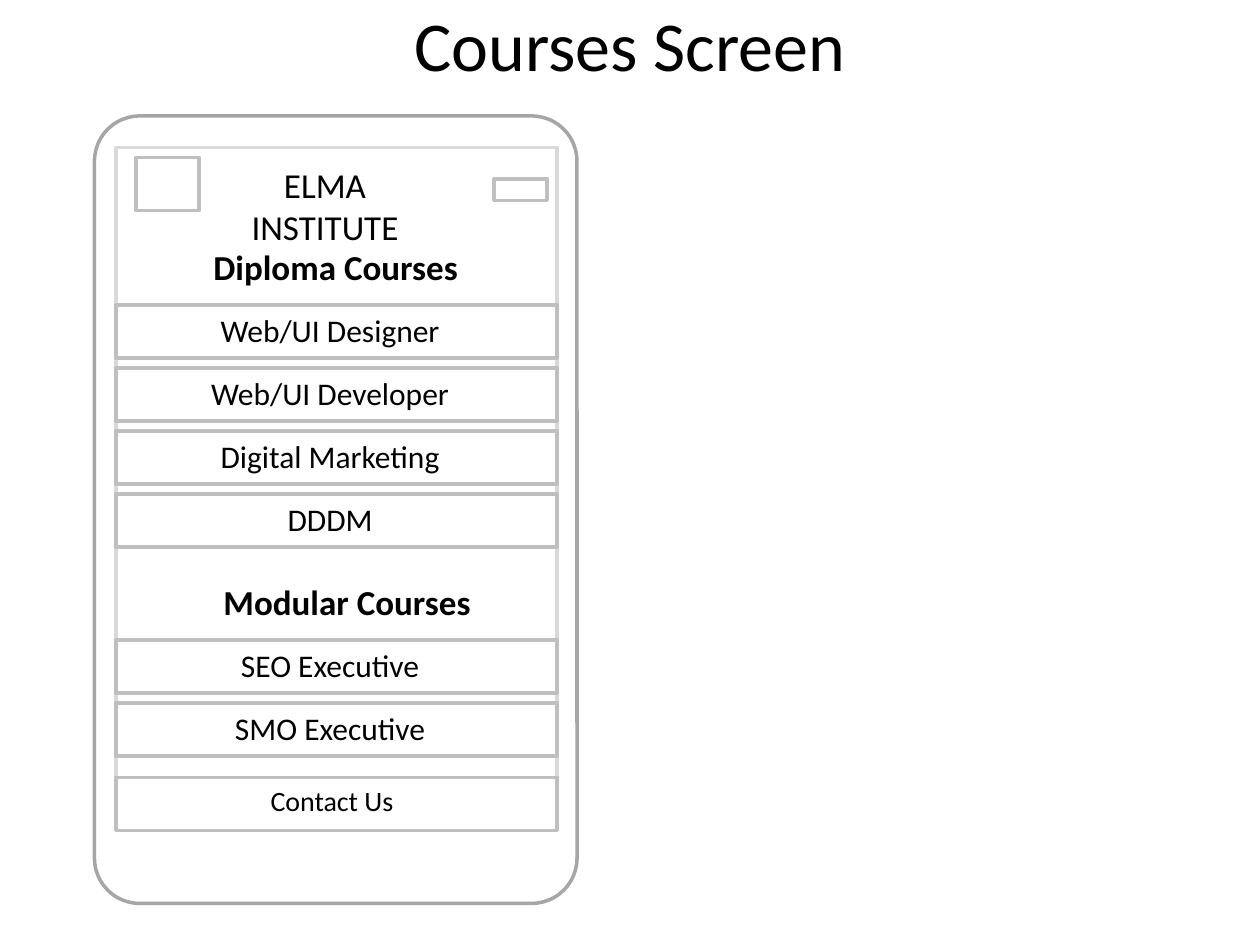
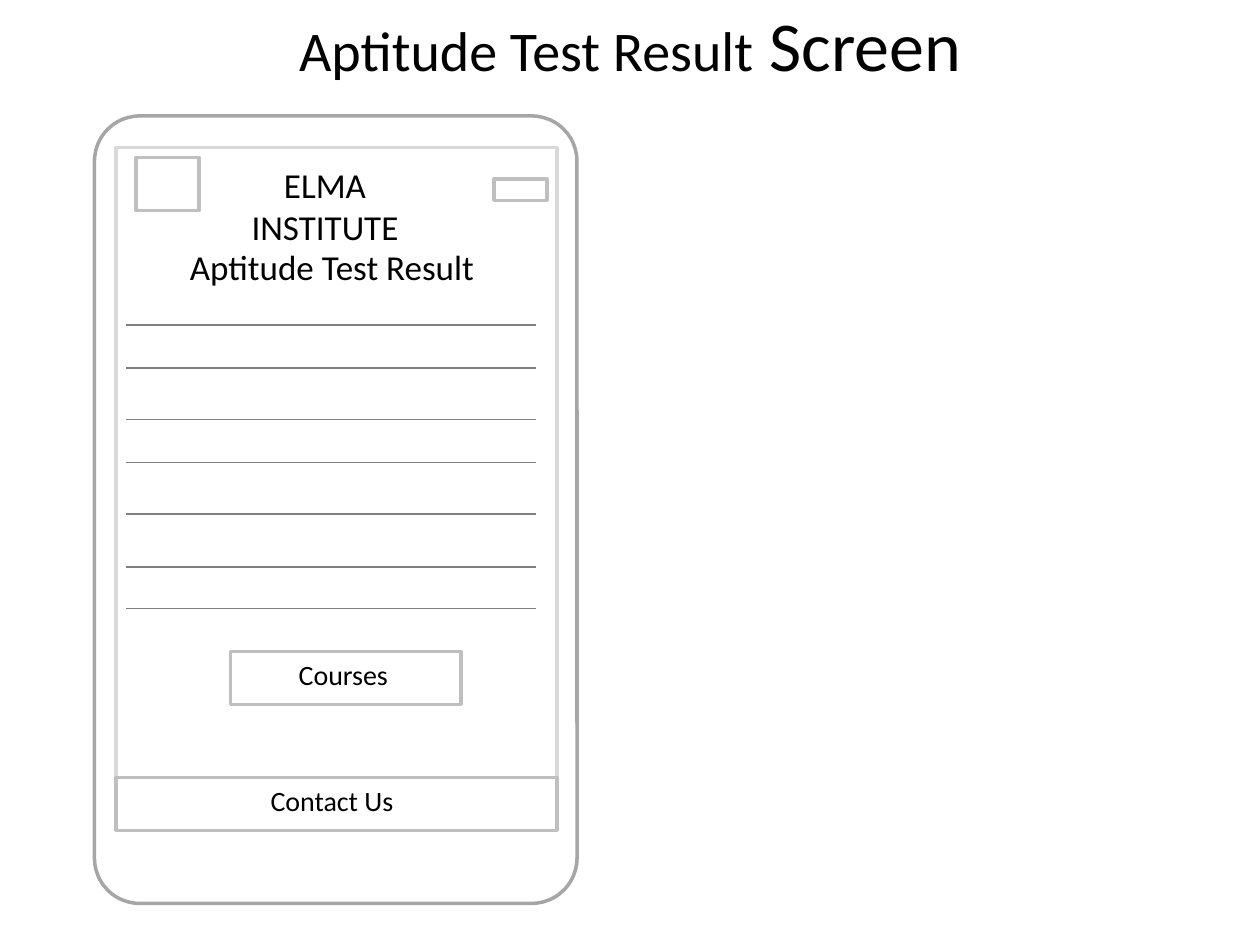
import pptx
import pptx.util
import pptx.dml.color
import pptx.enum.shapes
import pptx.enum.text
import pptx.oxml.ns
import lxml.etree

Inches = pptx.util.Inches
Pt = pptx.util.Pt
Shapes = pptx.enum.shapes.MSO_SHAPE
Text = pptx.enum.text

# Content: titles are lists of (text, size)
COURSES_TITLE = [("Courses Screen", 40)]
RESULT_TITLE = [("Aptitude Test Result", 32), (" Screen", 40)]
INSTITUTE = "ELMA INSTITUTE"
CONTACT = "Contact Us"
# heading, heading left, heading top, first row top, courses
COURSE_GROUPS = [
    ("Diploma Courses", 1.33, 1.9, 2.42,
     ["Web/UI Designer", "Web/UI Developer", "Digital Marketing", "DDDM"]),
    ("Modular Courses", 1.42, 4.56, 5.08, ["SEO Executive", "SMO Executive"]),
]
RESULT_HEADING = "Aptitude Test Result"
RESULT_LINE_TOPS = [2.58, 2.92, 3.33, 3.67, 4.08, 4.5, 4.83]
RESULT_BUTTON = "Courses"

# Shared style
FONT = "Calibri"
COLORS = {"text": "000000", "phone": "A6A6A6", "screen": "D9D9D9",
          "box": "BFBFBF", "rule": "7F7F7F"}
SCREEN_LEFT, SCREEN_WIDTH = 0.92, 3.5
ROW_HEIGHT, ROW_STEP = 0.42, 0.5
CORNER_RADIUS = 0.36


def color(name):
    return pptx.dml.color.RGBColor.from_string(COLORS[name])


def format_run(run, size, bold=False):
    run.font.name = FONT
    run.font.size = Pt(size)
    run.font.bold = bold
    run.font.color.rgb = color("text")


def add_outline(slide, left, top, width, height, line="box", kind=Shapes.RECTANGLE):
    shape = slide.shapes.add_shape(
        kind, Inches(left), Inches(top), Inches(width), Inches(height))
    shape.shadow.inherit = False
    shape.fill.background()
    shape.line.color.rgb = color(line)
    shape.line.width = Pt(2)
    return shape


def add_label(slide, text, left, top, width, height, size, bold=False, wrap=True):
    label = slide.shapes.add_textbox(
        Inches(left), Inches(top), Inches(width), Inches(height))
    label.text_frame.text = text
    label.text_frame.word_wrap = wrap
    label.text_frame.auto_size = Text.MSO_AUTO_SIZE.SHAPE_TO_FIT_TEXT
    paragraph = label.text_frame.paragraphs[0]
    paragraph.alignment = Text.PP_ALIGN.CENTER
    format_run(paragraph.runs[0], size, bold)


def add_rule(slide, top):
    rule = slide.shapes.add_connector(
        pptx.enum.shapes.MSO_CONNECTOR.STRAIGHT,
        Inches(1), Inches(top), Inches(4.25), Inches(top))
    rule.line.color.rgb = color("rule")
    rule.line.width = Pt(0.75)
    lxml.etree.SubElement(rule._element.spPr, pptx.oxml.ns.qn("a:effectLst"))


def add_phone_slide(presentation, title_runs):
    slide = presentation.slides.add_slide(presentation.slide_layouts[5])

    # Title
    title = slide.shapes.title
    title.left, title.top = Inches(0.5), Inches(0.08)
    title.width, title.height = Inches(9), Inches(0.53)
    title.text_frame.vertical_anchor = Text.MSO_ANCHOR.MIDDLE
    paragraph = title.text_frame.paragraphs[0]
    paragraph.alignment = Text.PP_ALIGN.CENTER
    for text, size in title_runs:
        run = paragraph.add_run()
        run.text = text
        format_run(run, size)

    # Phone body and screen
    phone = add_outline(slide, 0.75, 0.92, 3.83, 6.25, "phone", Shapes.ROUNDED_RECTANGLE)
    phone.adjustments[0] = CORNER_RADIUS / 3.83
    add_outline(slide, SCREEN_LEFT, 1.17, SCREEN_WIDTH, 5.42, "screen")

    # Header: emblem, name, menu button
    add_outline(slide, 1.08, 1.25, 0.5, 0.42)
    add_label(slide, INSTITUTE, 1.61, 1.25, 1.94, 0.44, 20, wrap=False)
    add_outline(slide, 3.92, 1.42, 0.42, 0.17)

    # Contact bar
    add_outline(slide, SCREEN_LEFT, 6.17, SCREEN_WIDTH, ROW_HEIGHT)
    add_label(slide, CONTACT, 1.83, 6.17, 1.61, 0.37, 16)
    return slide


def build_courses(presentation):
    slide = add_phone_slide(presentation, COURSES_TITLE)
    for heading, left, heading_top, first_top, courses in COURSE_GROUPS:
        add_label(slide, heading, left, heading_top, 2.67, 0.44, 20, bold=True)
        for index, course in enumerate(courses):
            top = first_top + index * ROW_STEP
            add_outline(slide, SCREEN_LEFT, top, SCREEN_WIDTH, ROW_HEIGHT)
            add_label(slide, course, 1.33, top, 2.58, 0.4, 18)


def build_result(presentation):
    slide = add_phone_slide(presentation, RESULT_TITLE)
    add_label(slide, RESULT_HEADING, 1.05, 1.9, 3.17, 0.44, 20)
    for top in RESULT_LINE_TOPS:
        add_rule(slide, top)
    add_outline(slide, 1.83, 5.17, 1.83, ROW_HEIGHT)
    add_label(slide, RESULT_BUTTON, 1.92, 5.17, 1.61, 0.37, 16)


def main():
    presentation = pptx.Presentation()
    presentation.slide_width = Inches(10)
    presentation.slide_height = Inches(7.5)
    build_courses(presentation)
    build_result(presentation)
    presentation.save("out.pptx")


if __name__ == "__main__":
    main()
